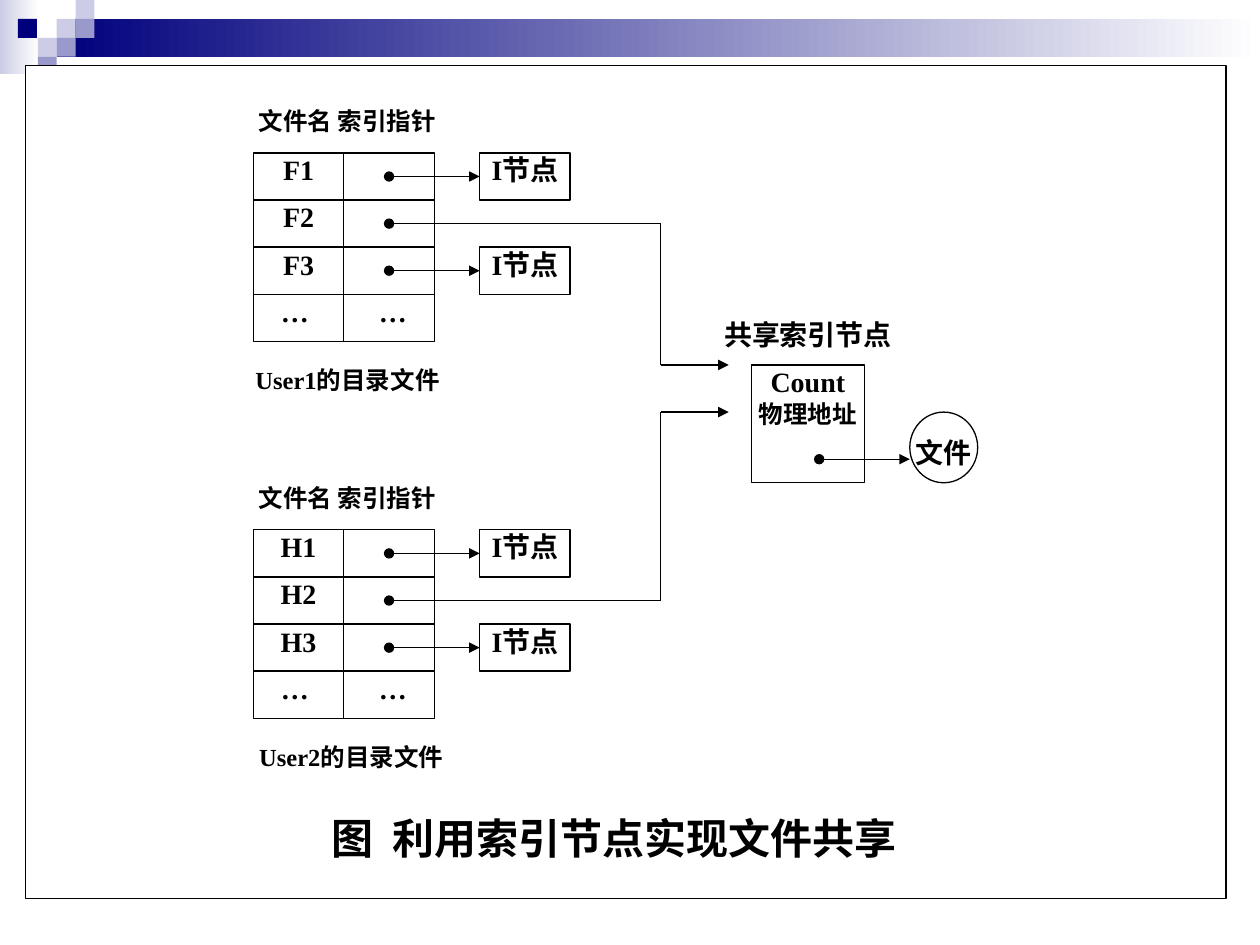
from dataclasses import dataclass
from itertools import pairwise

from lxml import etree
from pptx import Presentation
from pptx import util as u
from pptx.dml.color import RGBColor
from pptx.enum import shapes, text
from pptx.oxml.ns import qn


@dataclass(frozen=True)
class Theme:
    black: str = "000000"
    white: str = "FFFFFF"
    navy: str = "00007D"
    lilac: str = "CCCCE6"
    violet: str = "9999CC"
    latin: str = "Times New Roman"
    cjk: str = "Noto Sans CJK SC"
    title: float = 24
    body: float = 16
    small: float = 14
    line: float = 0.75


@dataclass(frozen=True)
class Grid:
    """Turns columns and rows into slide lengths."""
    left: float
    top: float
    col: float
    row: float

    def point(self, x, y):
        return u.Inches(self.left + x * self.col), u.Inches(self.top + y * self.row)

    def box(self, x, y, w, h):
        return *self.point(x, y), u.Inches(w * self.col), u.Inches(h * self.row)


T = Theme()
BANNER = Grid(0, 0, 0.15, 0.15)
DIAGRAM = Grid(2.01, 0.84, 5.57 / 15.5, 6.17 / 16.5)
RECT = shapes.MSO_SHAPE.RECTANGLE


def write(sp, lines, sizes, font=T.latin, shift=0):
    """Centre the lines at the top; a shift moves them right, or left if negative."""
    tf = sp.text_frame
    tf.word_wrap = True
    tf.auto_size = text.MSO_AUTO_SIZE.NONE
    tf.vertical_anchor = text.MSO_ANCHOR.TOP
    tf.margin_top = tf.margin_bottom = 0
    tf.margin_left = u.Inches(max(2 * shift, 0))
    tf.margin_right = u.Inches(max(-2 * shift, 0))
    tf.text = "\n".join(lines)
    for p, size in zip(tf.paragraphs, sizes):
        p.alignment = text.PP_ALIGN.CENTER
        p.font.size, p.font.bold, p.font.name = u.Pt(size), True, font
        p.font.color.rgb = RGBColor.from_string(T.black)
        east_asian = etree.SubElement(p._p.pPr.find(qn("a:defRPr")), qn("a:ea"))
        east_asian.set("typeface", T.cjk)


def add_block(slide, box, colours=(), outlined=False, kind=RECT):
    """One colour fills the block, two make a gradient from left to right."""
    sp = slide.shapes.add_shape(kind, *box)
    sp.shadow.inherit = False
    if len(colours) == 2:
        sp.fill.gradient()
        sp.fill.gradient_angle = 0
        for stop, colour in zip(sp.fill.gradient_stops, colours):
            stop.color.rgb = RGBColor.from_string(colour)
    elif colours:
        sp.fill.solid()
        sp.fill.fore_color.rgb = RGBColor.from_string(colours[0])
    else:
        sp.fill.background()
    if outlined:
        sp.line.color.rgb = RGBColor.from_string(T.black)
        sp.line.width = u.Pt(T.line)
    else:
        sp.line.fill.background()
    return sp


def add_cell(slide, box, lines=(), sizes=(T.body,), shift=0):
    sp = add_block(slide, box, outlined=True)
    if lines:
        write(sp, lines, sizes, shift=shift)
    return sp


def add_label(slide, box, label, size, shift=0):
    write(slide.shapes.add_textbox(*box), [label], [size], shift=shift)


def add_line(slide, start, end, dot=False, arrow=False):
    line = slide.shapes.add_connector(shapes.MSO_CONNECTOR.STRAIGHT, *start, *end)
    line.line.color.rgb = RGBColor.from_string(T.black)
    line.line.width = u.Pt(T.line)
    ln = line.line._get_or_add_ln()
    for shown, tag, kind in ((dot, "a:headEnd", "oval"), (arrow, "a:tailEnd", "triangle")):
        if shown:
            etree.SubElement(ln, qn(tag)).set("type", kind)
    etree.SubElement(line._element.spPr, qn("a:effectLst"))
    return line


def banner(slide, grid):
    add_block(slide, grid.box(0, 0, 2.05, 3.9), (T.lilac, T.white))
    add_block(slide, grid.box(3, 1, 63.67, 2), (T.navy, T.white))
    squares = {T.lilac: [(3, 1), (4, 0), (2, 2)],
               T.violet: [(4, 1), (3, 2), (2, 3)],
               T.navy: [(0.95, 1)]}
    for colour, places in squares.items():
        for x, y in places:
            add_block(slide, grid.box(x, y, 1, 1), (colour,))


def directory(slide, grid, x, y, prefix, owner, owner_shift):
    """Four rows of names and pointers; the first and third lead to their own nodes."""
    add_label(slide, grid.box(x, y, 4.5, 1), "文件名 索引指针", T.small, -0.06)
    for i in range(1, 4):
        add_cell(slide, grid.box(x, y + i, 2, 1), [f"{prefix}{i}"])
        add_cell(slide, grid.box(x + 2, y + i, 2, 1))
    for column, shift in ((0, -0.03), (2, 0.03)):
        add_cell(slide, grid.box(x + column, y + 4, 2, 1), ["…"], shift=shift)
    for i in (1, 3):
        node = add_cell(slide, grid.box(x + 5, y + i, 2, 1), ["I节点"])
        middle = y + i + 0.5
        arrow = add_line(slide, grid.point(x + 3, middle), grid.point(x + 5, middle),
                         dot=True, arrow=True)
        arrow.end_connect(node, 1)
    add_label(slide, grid.box(x, y + 5.5, 4.5, 1), owner, T.small, owner_shift)


def shared_node(slide, grid, x, y):
    add_label(slide, grid.box(x - 1, y - 1, 4.5, 1), "共享索引节点", T.body)
    add_cell(slide, grid.box(x, y, 2.5, 2.5), ["Count", "物理地址"], (T.body, T.small))
    add_block(slide, grid.box(x + 3.5, y + 1, 1.5, 1.5), outlined=True,
              kind=shapes.MSO_SHAPE.OVAL)
    add_label(slide, grid.box(x + 3.5, y + 1.5, 1.5, 1), "文件", T.body)
    add_line(slide, grid.point(x + 1.5, y + 2), grid.point(x + 3.5, y + 2),
             dot=True, arrow=True)


def shared_link(slide, grid, start_row, end_row):
    """Run from a pointer to the shared node in three straight pieces."""
    corners = [(3, start_row), (9, start_row), (9, end_row), (10.5, end_row)]
    for i, (a, b) in enumerate(pairwise(corners)):
        add_line(slide, grid.point(*a), grid.point(*b), dot=i == 0, arrow=i == 2)


def caption(slide, box):
    title = slide.shapes.title
    title.left, title.top, title.width, title.height = box
    write(title, ["图  利用索引节点实现文件共享"], [T.title], font=T.cjk, shift=0.08)
    slide.shapes.element.append(title.element)  # bring in front of the frame


def main():
    prs = Presentation()
    prs.slide_width, prs.slide_height = u.Inches(10), u.Inches(7.5)
    slide = prs.slides.add_slide(prs.slide_layouts.get_by_name("Title Only"))
    banner(slide, BANNER)
    frame = [u.Inches(n) for n in (0.2, 0.52, 9.53, 6.61)]
    add_block(slide, frame, (T.white,), outlined=True)
    caption(slide, DIAGRAM.box(0, 15, 15.5, 1.5))
    directory(slide, DIAGRAM, 0, 0, "F", "User1的目录文件", -0.06)
    directory(slide, DIAGRAM, 0, 8, "H", "User2的目录文件", -0.03)
    shared_node(slide, DIAGRAM, 11, 5.5)
    shared_link(slide, DIAGRAM, 2.5, 5.5)
    shared_link(slide, DIAGRAM, 10.5, 6.5)
    prs.save("out.pptx")


if __name__ == "__main__":
    main()
